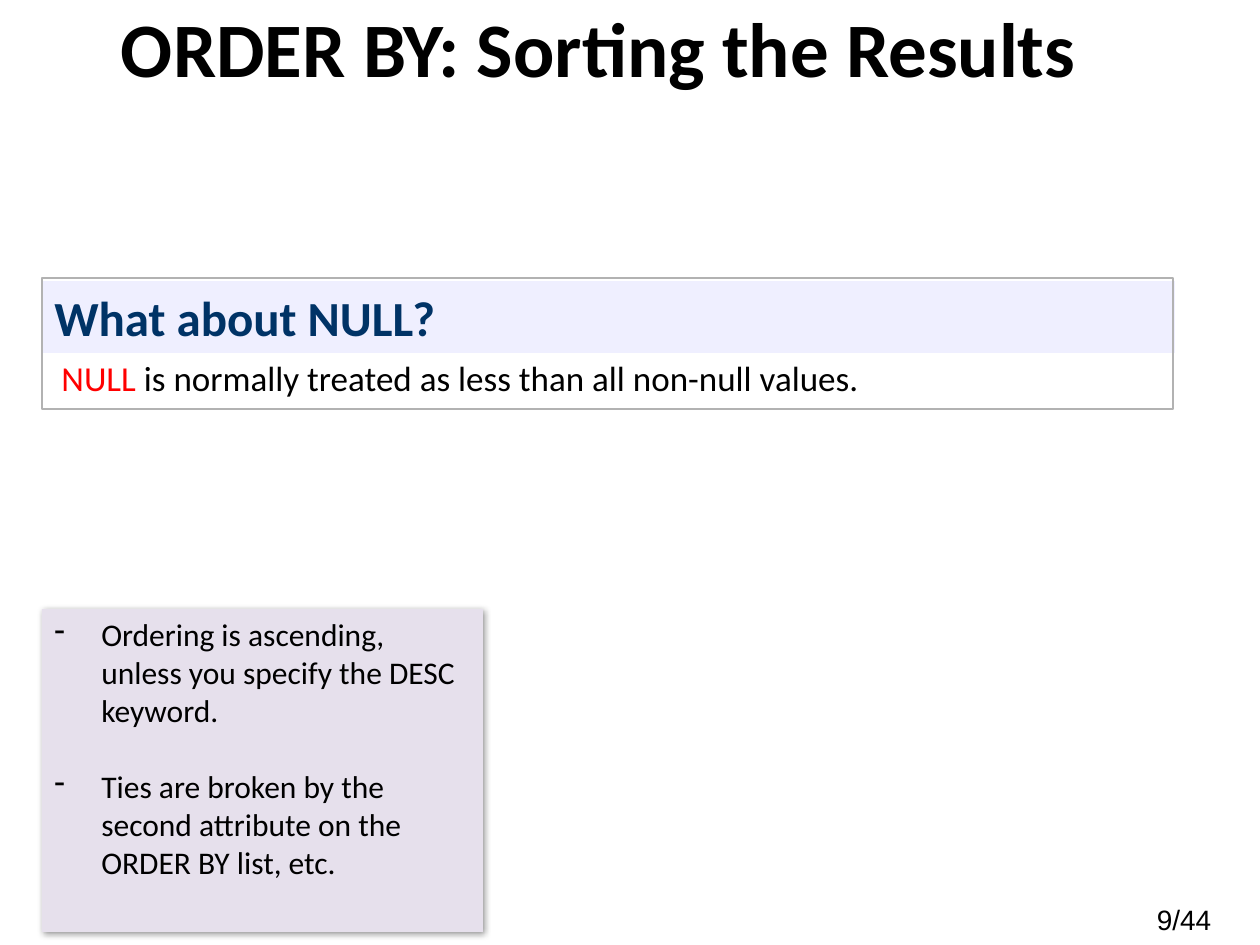
from lxml.etree import SubElement
from pptx import Presentation
from pptx.dml.color import RGBColor
from pptx.enum.shapes import MSO_SHAPE
from pptx.enum.text import MSO_ANCHOR, MSO_AUTO_SIZE, PP_ALIGN
from pptx.oxml.ns import qn
from pptx.util import Emu, Pt

RECT = MSO_SHAPE.RECTANGLE
TOP, MIDDLE = MSO_ANCHOR.TOP, MSO_ANCHOR.MIDDLE
FIXED = MSO_AUTO_SIZE.NONE
LEFT, CENTER = PP_ALIGN.LEFT, PP_ALIGN.CENTER
BLACK = RGBColor(0, 0, 0)
RED = RGBColor(0xFF, 0, 0)
NAVY = RGBColor(0, 0x33, 0x66)
GRAY = RGBColor(0xB2, 0xB2, 0xB2)
LILAC = RGBColor(0xE6, 0xE0, 0xEC)
PALE = RGBColor(0xEF, 0xEF, 0xFF)
SCALE = 914400 / 126


def px(n):
    return Emu(round(n * SCALE))


class Deck:
    """Holds the style and the current slide, and adds each kind of element."""

    base = {"name": "Calibri", "size": Pt(18), "bold": False}

    def __init__(self, wide, high):
        self.file = Presentation()
        self.file.slide_width, self.file.slide_height = px(wide), px(high)
        self.slide = self.file.slides.add_slide(self.file.slide_layouts[5])

    def label(self, shape, paras, anchor=TOP, form=None, **font):
        frame = shape.text_frame
        frame.word_wrap, frame.auto_size = True, FIXED
        frame.vertical_anchor = anchor
        for i, runs in enumerate(paras):
            para = frame.add_paragraph() if i else frame.paragraphs[0]
            for key, value in {"alignment": LEFT, **(form or {})}.items():
                setattr(para, key, value)
            for text, color in runs:
                run = para.add_run()
                run.text = text
                for key, value in {**self.base, **font}.items():
                    setattr(run.font, key, value)
                run.font.color.rgb = color

    def title(self, box, text, **font):
        shape = self.slide.shapes.title
        for key, value in zip(("left", "top", "width", "height"), box):
            setattr(shape, key, px(value))
        self.label(shape, [[(text, BLACK)]], MIDDLE, {"alignment": CENTER}, **font)

    def text(self, box, runs, form=None, **font):
        shape = self.slide.shapes.add_textbox(*map(px, box))
        self.label(shape, [runs], form=form, **font)

    def rect(self, box, fill=None, line=None):
        shape = self.slide.shapes.add_shape(RECT, *map(px, box))
        shape.shadow.inherit = False
        if fill is None:
            shape.fill.background()
        else:
            shape.fill.solid()
            shape.fill.fore_color.rgb = fill
        if line is None:
            shape.line.fill.background()
        else:
            shape.line.color.rgb, shape.line.width = line, Pt(0.75)
        return shape

    def shade(self, shape):
        glow = SubElement(
            shape._element.spPr.find(qn("a:effectLst")), qn("a:outerShdw"),
            blurRad=str(Pt(4)), dist=str(Pt(1)), dir="2700000",
            algn="tl", rotWithShape="0")
        tint = SubElement(glow, qn("a:srgbClr"), val=str(BLACK))
        SubElement(tint, qn("a:alpha"), val="40000")

    def list(self, box, items, fill, gap, indent):
        shape = self.rect(box, fill)
        self.shade(shape)
        self.label(shape, [[(item, BLACK)] for item in items])
        for i, para in enumerate(shape.text_frame.paragraphs):
            para.space_before = gap if i else Pt(0)
            prop = para._p.get_or_add_pPr()
            prop.set("marL", str(px(indent)))
            prop.set("indent", str(px(-indent)))
            SubElement(prop, qn("a:buFontTx"))
            SubElement(prop, qn("a:buChar"), char="-")


def main():
    deck = Deck(1260, 945)
    deck.title((32, 0, 1134, 94), "ORDER BY: Sorting the Results",
               size=Pt(44), bold=True)
    deck.text((1115, 896, 146, 49), [("9/44 ", BLACK)],
              {"alignment": CENTER}, name="Arial", size=Pt(16))
    deck.list((42, 609, 441, 323), (
        "Ordering is ascending, unless you specify the DESC keyword.",
        "Ties are broken by the second attribute on the ORDER BY list, etc.",
    ), LILAC, Pt(22), 47)
    head = deck.rect((42, 281, 1133, 72), PALE)
    deck.label(head, [[("What about NULL?", NAVY)]], size=Pt(28), bold=True)
    deck.rect((42, 278, 1131, 131), line=GRAY)
    deck.text((49, 355, 1128, 50), [
        ("NULL", RED),
        (" is normally treated as less than all non-null values.", BLACK),
    ], {"line_spacing": 0.9}, size=Pt(20))
    deck.file.save("out.pptx")


if __name__ == "__main__":
    main()
